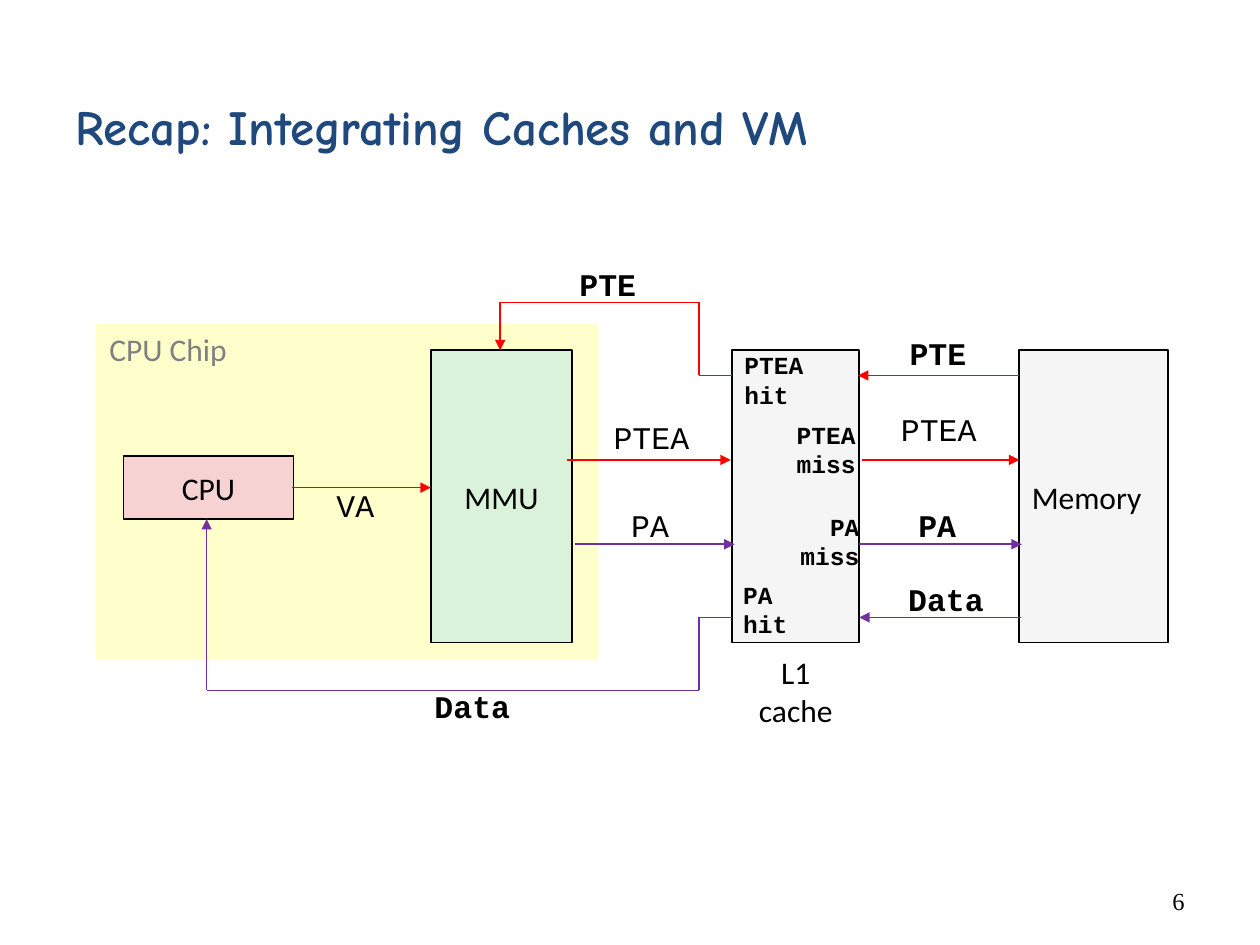
from dataclasses import dataclass
from itertools import pairwise
from typing import Optional

from lxml.etree import SubElement
from pptx import Presentation
from pptx.dml.color import RGBColor
from pptx.enum.shapes import MSO_CONNECTOR, MSO_SHAPE
from pptx.enum.text import MSO_ANCHOR, MSO_AUTO_SIZE, PP_ALIGN
from pptx.oxml.ns import qn
from pptx.util import Inches, Pt

BLACK = RGBColor(0, 0, 0)
GRAY = RGBColor(0x80, 0x80, 0x80)
NAVY = RGBColor(0x1F, 0x49, 0x7D)
RED = RGBColor(0xFF, 0, 0)
PURPLE = RGBColor(0x70, 0x30, 0xA0)
YELLOW = RGBColor(0xFF, 0xFF, 0xCC)
PINK = RGBColor(0xF6, 0xD2, 0xD2)
GREEN = RGBColor(0xDB, 0xF2, 0xDA)
PALE = RGBColor(0xF5, 0xF5, 0xF5)

SANS, MONO = "Calibri", "Courier New"
LEFT, CENTER, RIGHT = PP_ALIGN.LEFT, PP_ALIGN.CENTER, PP_ALIGN.RIGHT
UNIT_TOP, UNIT_HEIGHT = 2.78, 2.32


@dataclass
class Box:
    x: float
    y: float
    w: float
    h: float
    fill: RGBColor
    text: str = ""
    align: PP_ALIGN = CENTER
    outlined: bool = True


@dataclass
class Label:
    text: str
    x: float
    y: float
    w: float
    h: float
    size: int = 18
    font: str = MONO
    color: RGBColor = BLACK
    bold: bool = False
    align: PP_ALIGN = LEFT
    wrap: bool = False
    anchor: MSO_ANCHOR = MSO_ANCHOR.MIDDLE
    tight: bool = False


@dataclass
class Route:
    """A path of straight segments; the last one ends in an arrowhead."""
    color: RGBColor
    points: list[tuple[float, float]]


def plain(text: str, x: float, y: float) -> Label:
    return Label(text, x, y, 0.22 + 0.15 * len(text) - 0.08, 0.31,
                 anchor=MSO_ANCHOR.TOP, tight=True)


def bold(text: str, x: float, y: float) -> Label:
    return Label(text, x, y, 0.2 + 0.15 * len(text), 0.4, bold=True)


def outcome(text: str, x: float, y: float, w: float, align: PP_ALIGN) -> Label:
    return Label(text, x, y, w, 0.57, size=14, bold=True, align=align)


BOXES = [
    Box(0.76, 2.57, 3.99, 2.67, YELLOW, outlined=False),
    Box(0.98, 3.62, 1.35, 0.5, PINK, "CPU"),
    Box(3.42, UNIT_TOP, 1.12, UNIT_HEIGHT, GREEN, "MMU"),
    Box(5.81, UNIT_TOP, 1.01, UNIT_HEIGHT, PALE),
    Box(8.09, UNIT_TOP, 1.18, UNIT_HEIGHT, PALE, "Memory", LEFT),
]

ROUTES = [
    Route(RED, [(2.32, 3.87), (3.42, 3.87)]),
    Route(RED, [(4.5, 3.65), (5.8, 3.65)]),
    Route(RED, [(6.84, 3.65), (8.09, 3.65)]),
    Route(RED, [(8.09, 2.98), (6.81, 2.98)]),
    Route(RED, [(5.81, 2.98), (5.55, 2.98), (5.55, 2.4), (3.97, 2.4), (3.97, 2.78)]),
    Route(PURPLE, [(4.56, 4.32), (5.83, 4.32)]),
    Route(PURPLE, [(6.82, 4.32), (8.11, 4.32)]),
    Route(PURPLE, [(8.1, 4.9), (6.82, 4.9)]),
    Route(PURPLE, [(5.81, 4.9), (5.55, 4.9), (5.55, 5.48), (1.64, 5.48), (1.64, 4.12)]),
]

LABELS = [
    plain("VA", 2.6, 3.87),
    plain("PTEA", 4.8, 3.33),
    plain("PA", 4.94, 4.03),
    plain("PTEA", 7.08, 3.27),
    bold("PTE", 4.5, 2.05),
    bold("PTE", 7.12, 2.6),
    bold("PA", 7.19, 3.97),
    bold("Data", 7.11, 4.55),
    bold("Data", 3.35, 5.4),
    outcome("PTEA\nhit", 5.81, 2.73, 0.79, LEFT),
    outcome("PTEA\nmiss", 6.22, 3.28, 0.67, RIGHT),
    outcome("PA\nmiss", 6.25, 4.01, 0.67, RIGHT),
    outcome("PA\nhit", 5.8, 4.55, 0.55, LEFT),
    Label("L1\ncache", 5.87, 5.13, 0.89, 0.71, font=SANS, align=CENTER),
    Label("CPU Chip", 0.77, 2.57, 1.37, 0.44, font=SANS, color=GRAY,
          anchor=MSO_ANCHOR.TOP),
    Label("Recap: Integrating Caches and VM", 0.5, 0.5, 8.83, 1, size=28,
          font="Comic Neue", color=NAVY, bold=True, wrap=True),
    Label("6", 7.17, 6.95, 2.33, 0.4, size=14, font="Times New Roman",
          align=RIGHT, wrap=True),
]


def write(tf, text: str, size: int, font: str, color: RGBColor,
          align: PP_ALIGN, is_bold: bool = False) -> None:
    tf.text = text
    for p in tf.paragraphs:
        p.alignment = align
        for r in p.runs:
            r.font.size = Pt(size)
            r.font.name = font
            r.font.bold = is_bold
            r.font.color.rgb = color


def draw_box(s, box: Box) -> None:
    sp = s.shapes.add_shape(MSO_SHAPE.RECTANGLE, Inches(box.x), Inches(box.y),
                            Inches(box.w), Inches(box.h))
    sp.shadow.inherit = False
    sp.fill.solid()
    sp.fill.fore_color.rgb = box.fill
    if box.outlined:
        sp.line.color.rgb = BLACK
        sp.line.width = Pt(1)
    else:
        sp.line.fill.background()
    if box.text:
        tf = sp.text_frame
        tf.word_wrap = False
        tf.vertical_anchor = MSO_ANCHOR.MIDDLE
        write(tf, box.text, 18, SANS, BLACK, box.align)


def draw_route(s, route: Route) -> None:
    for (x1, y1), (x2, y2) in pairwise(route.points):
        line = s.shapes.add_connector(MSO_CONNECTOR.STRAIGHT, Inches(x1), Inches(y1),
                                      Inches(x2), Inches(y2))
        line.line.color.rgb = route.color
        line.line.width = Pt(1)
        SubElement(line._element.spPr, qn("a:effectLst"))
    SubElement(line.line._get_or_add_ln(), qn("a:tailEnd"), type="triangle")


def draw_label(s, label: Label) -> None:
    tf = s.shapes.add_textbox(Inches(label.x), Inches(label.y),
                              Inches(label.w), Inches(label.h)).text_frame
    tf.word_wrap = label.wrap
    tf.vertical_anchor = label.anchor
    if not label.wrap:
        tf.auto_size = MSO_AUTO_SIZE.SHAPE_TO_FIT_TEXT
    write(tf, label.text, label.size, label.font, label.color, label.align, label.bold)
    if label.tight:
        tf.margin_left = tf.margin_right = Inches(0.07)
        tf.margin_top = tf.margin_bottom = Inches(0.03)
        tf.paragraphs[0].line_spacing = 0.85


def main() -> None:
    prs = Presentation()
    prs.slide_width, prs.slide_height = Inches(10), Inches(7.5)
    s = prs.slides.add_slide(prs.slide_layouts[6])
    for box in BOXES:
        draw_box(s, box)
    for route in ROUTES:
        draw_route(s, route)
    for label in LABELS:
        draw_label(s, label)
    prs.save("out.pptx")


if __name__ == "__main__":
    main()
